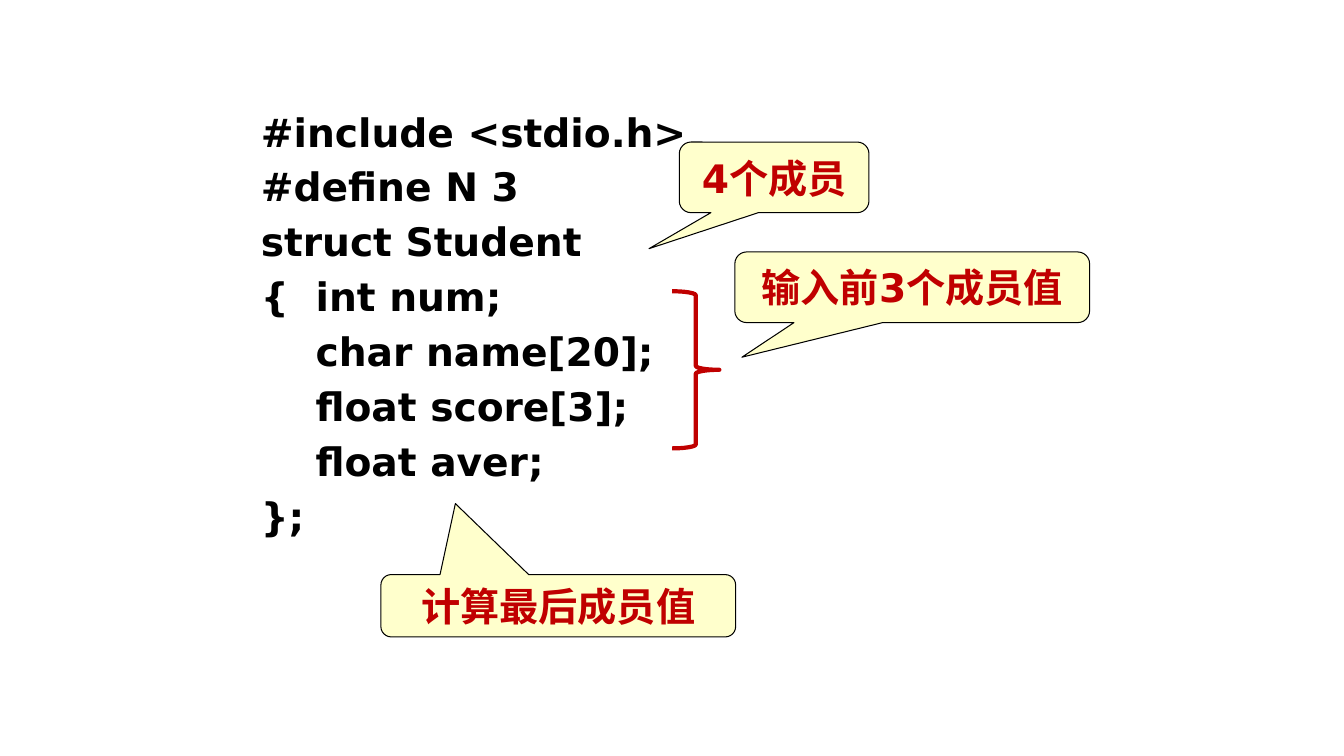
from dataclasses import dataclass

import pptx
import pptx.dml.color
import pptx.enum.shapes
import pptx.enum.text
import pptx.oxml.ns
import pptx.util
from lxml import etree
from pptx.util import Cm, Pt

BLACK = pptx.dml.color.RGBColor(0x00, 0x00, 0x00)
WHITE = pptx.dml.color.RGBColor(0xFF, 0xFF, 0xFF)
RED = pptx.dml.color.RGBColor(0xC0, 0x00, 0x00)
CREAM = pptx.dml.color.RGBColor(0xFF, 0xFF, 0xCC)
FONT = "DejaVu Sans"
FONT_SIZE = Pt(28)
MEMBER_INDENT = Cm(1.38)
SHAPE = pptx.enum.shapes.MSO_SHAPE


@dataclass
class CodeLine:
    text: str
    left: int = 0
    first: int = 0


@dataclass
class Box:
    left: float
    top: float
    width: float
    height: float

    def lengths(self) -> tuple:
        return Cm(self.left), Cm(self.top), Cm(self.width), Cm(self.height)


@dataclass
class Callout:
    text: str
    box: Box
    tip_x: float
    tip_y: float


CODE = [
    CodeLine("#include <stdio.h>"),
    CodeLine("#define N 3"),
    CodeLine("struct Student"),
    CodeLine("{\tint num;", MEMBER_INDENT, -MEMBER_INDENT),
    CodeLine("char name[20];", MEMBER_INDENT),
    CodeLine("float score[3];", MEMBER_INDENT),
    CodeLine("float aver;", MEMBER_INDENT),
    CodeLine("};"),
]
CODE_BOX = Box(6.32, 2.59, 18.34, 13.11)
BRACE_BOX = Box(16.94, 7.34, 1.19, 3.96)
CALLOUTS = [
    Callout("4个成员", Box(17.12, 3.58, 4.78, 1.78), -0.66, 1.01),
    Callout("输入前3个成员值", Box(18.52, 6.35, 8.94, 1.78), -0.48, 0.99),
    Callout("计算最后成员值", Box(9.6, 14.48, 8.94, 1.57), -0.29, -1.64),
]


def add_run(p, text: str, color) -> None:
    r = p.add_run()
    r.text = text
    r.font.name = FONT
    r.font.size = FONT_SIZE
    r.font.bold = True
    r.font.color.rgb = color


def fill_code(body) -> None:
    body.left, body.top, body.width, body.height = CODE_BOX.lengths()
    tf = body.text_frame
    tf.auto_size = pptx.enum.text.MSO_AUTO_SIZE.NONE
    for i, line in enumerate(CODE):
        p = tf.add_paragraph() if i else tf.paragraphs[0]
        pPr = p._p.get_or_add_pPr()
        pPr.set("marL", str(line.left))
        pPr.set("indent", str(line.first))
        etree.SubElement(pPr, pptx.oxml.ns.qn("a:buNone"))
        add_run(p, line.text, BLACK)


def add_outlined(s, kind, box: Box, fill, line, weight: float):
    sp = s.shapes.add_shape(kind, *box.lengths())
    sp.shadow.inherit = False
    sp.fill.solid()
    sp.fill.fore_color.rgb = fill
    sp.line.color.rgb = line
    sp.line.width = Pt(weight)
    return sp


def add_callout(s, callout: Callout) -> None:
    sp = add_outlined(s, SHAPE.ROUNDED_RECTANGULAR_CALLOUT, callout.box,
                      CREAM, BLACK, 0.75)
    sp.adjustments[0] = callout.tip_x
    sp.adjustments[1] = callout.tip_y
    tf = sp.text_frame
    tf.word_wrap = False
    tf.vertical_anchor = pptx.enum.text.MSO_ANCHOR.MIDDLE
    p = tf.paragraphs[0]
    p.alignment = pptx.enum.text.PP_ALIGN.CENTER
    add_run(p, callout.text, RED)


def main() -> None:
    prs = pptx.Presentation()
    prs.slide_width, prs.slide_height = Cm(33.87), Cm(19.05)
    s = prs.slides.add_slide(prs.slide_layouts[1])
    title = s.shapes.title.element
    title.getparent().remove(title)

    fill_code(s.placeholders[1])
    first, second, last = CALLOUTS
    add_callout(s, first)
    add_callout(s, second)
    add_outlined(s, SHAPE.RIGHT_BRACE, BRACE_BOX, WHITE, RED, 3)
    add_callout(s, last)
    prs.save("out.pptx")


if __name__ == "__main__":
    main()
